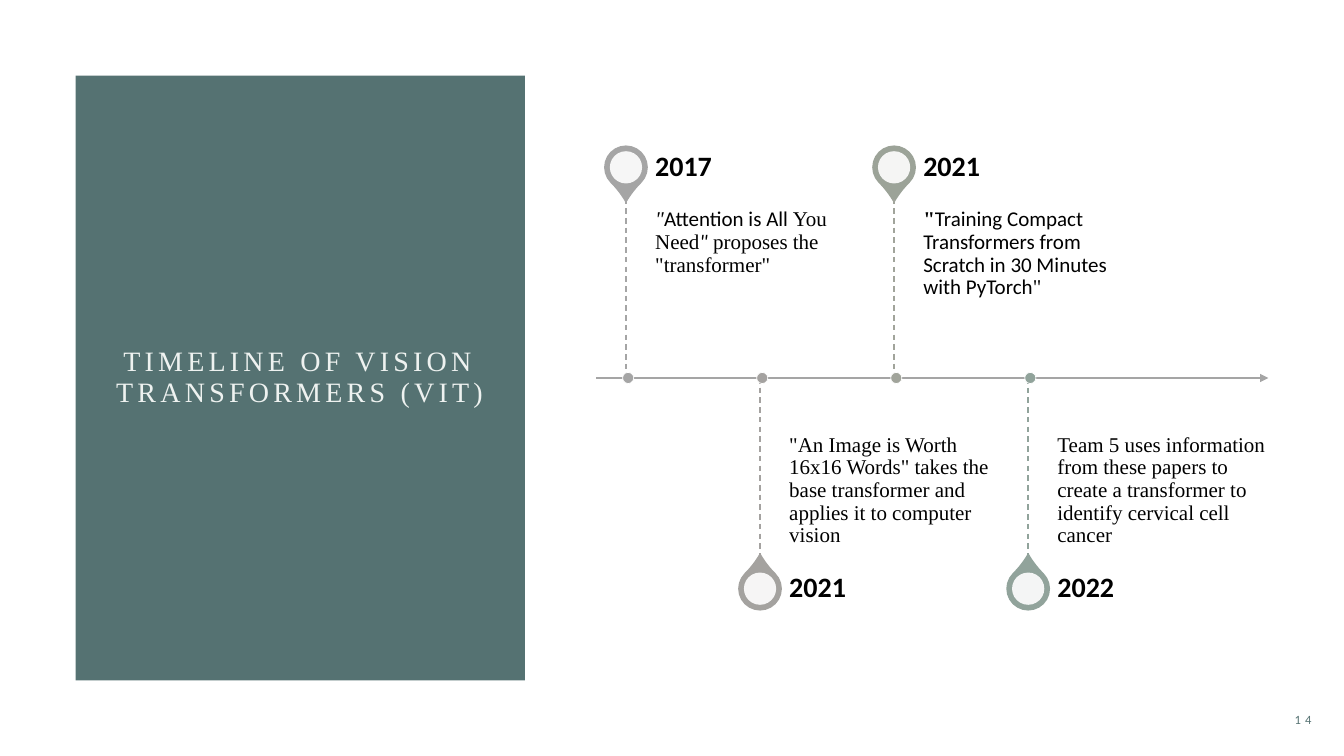
"""Build a slide with a timeline of vision transformer papers."""
from lxml.etree import SubElement
from pptx import Presentation
from pptx.dml.color import RGBColor
from pptx.enum.dml import MSO_LINE
from pptx.enum.shapes import MSO_CONNECTOR, MSO_SHAPE
from pptx.enum.text import MSO_ANCHOR, PP_ALIGN
from pptx.oxml.ns import qn
from pptx.util import Pt

SERIF, SANS = "Times New Roman", "Calibri"
TEAL, PALE, GREY, WHITE, BLACK = "557272", "EEF2F0", "A5A5A5", "FFFFFF", "000000"
AXIS_Y, FIRST_X, STEP = 270, 447.12, 95.76
PIN, HOLE, DOT = 30.24, 23.04, 8
TEXT_WIDTH, BODY_HEIGHT, YEAR_HEIGHT = 150.5, 128.2, 44.6

MILESTONES = [
    ("2017", "A5A5A5", "A5A5A5", [
        ('"', SERIF, "i"), ("Attention is All ", SANS, ""), ("You Need", SERIF, ""),
        ('"', SANS, "i"), (' proposes the "transformer"', SERIF, "")]),
    ("2021", "A4A29F", "A4A2A0", [
        ('"An Image is Worth 16x16 Words" takes the base transformer and '
         "applies it to computer vision", SERIF, "")]),
    ("2021", "9CA398", "A1A49B", [
        ('"', SERIF, "b"),
        ("Training Compact Transformers from Scratch in 30 Minutes with PyTorch", SANS, ""),
        ('"', SERIF, "")]),
    ("2022", "91A39B", "91A39B", [
        ("Team 5 uses information from these papers to create a transformer to "
         "identify cervical cell cancer", SERIF, "")]),
]


def color(value):
    return RGBColor.from_string(value)


class TimelineSlide:
    def __init__(self, page):
        self.page = page

    def shape(self, kind, left, top, width, height, fill, line=None, weight=1, alpha=None):
        item = self.page.shapes.add_shape(kind, Pt(left), Pt(top), Pt(width), Pt(height))
        item.shadow.inherit = False
        item.fill.solid()
        item.fill.fore_color.rgb = color(fill)
        if alpha:
            fill_color = item.fill._xPr.find(qn("a:solidFill"))[0]
            SubElement(fill_color, qn("a:alpha"), val=str(alpha * 1000))
        if line:
            item.line.color.rgb = color(line)
            item.line.width = Pt(weight)
        else:
            item.line.fill.background()
        return item

    def line(self, start, end, ink, weight, dash=None, arrow=False):
        item = self.page.shapes.add_connector(
            MSO_CONNECTOR.STRAIGHT, *(Pt(value) for value in (*start, *end)))
        item.line.color.rgb = color(ink)
        item.line.width = Pt(weight)
        if dash:
            item.line.dash_style = dash
        if arrow:
            SubElement(item.line._get_or_add_ln(), qn("a:tailEnd"), type="triangle")
        SubElement(item._element.spPr, qn("a:effectLst"))

    def text(self, left, top, width, height, spans, size, ink=BLACK, anchor=MSO_ANCHOR.MIDDLE,
             align=PP_ALIGN.LEFT, insets=(7.2, 3.6, 7.2, 3.6), tracking=0):
        box = self.page.shapes.add_textbox(Pt(left), Pt(top), Pt(width), Pt(height))
        frame = box.text_frame
        frame.word_wrap = True
        frame.vertical_anchor = anchor
        (frame.margin_left, frame.margin_top,
         frame.margin_right, frame.margin_bottom) = (Pt(inset) for inset in insets)
        para = frame.paragraphs[0]
        para.alignment = align
        para.line_spacing = 0.9
        for words, family, style in spans:
            span = para.add_run()
            span.text = words
            span.font.name = family
            span.font.size = Pt(size)
            span.font.color.rgb = color(ink)
            span.font.bold = "b" in style
            span.font.italic = "i" in style
            if tracking:
                span.font._element.set("spc", str(tracking * 100))

    def milestone(self, index, year, pin_color, dot_color, spans):
        above = index % 2 == 0
        center_x = FIRST_X + index * STEP
        center_y = 119.52 if above else 420.48
        stem_end = AXIS_Y - BODY_HEIGHT if above else AXIS_Y + BODY_HEIGHT
        text_left = center_x + 20.88

        pin = self.shape(MSO_SHAPE.TEAR, center_x - PIN / 2, center_y - PIN / 2,
                         PIN, PIN, pin_color, pin_color)
        pin.adjustments[0] = 1.15
        pin.rotation = 135 if above else 315
        self.shape(MSO_SHAPE.OVAL, center_x - HOLE / 2, center_y - HOLE / 2,
                   HOLE, HOLE, WHITE, alpha=90)
        self.text(text_left, min(stem_end, AXIS_Y), TEXT_WIDTH, BODY_HEIGHT, spans, 15,
                  anchor=MSO_ANCHOR.TOP if above else MSO_ANCHOR.BOTTOM,
                  insets=(0, 7.2, 7.2, 11.5) if above else (0, 11.5, 0, 7.2))
        self.text(text_left, stem_end - YEAR_HEIGHT if above else stem_end,
                  TEXT_WIDTH, YEAR_HEIGHT, [(year, SANS, "b")], 20, insets=(0, 0, 10, 0))
        self.line((center_x, min(stem_end, AXIS_Y)), (center_x, max(stem_end, AXIS_Y)),
                  dot_color, 1, dash=MSO_LINE.DASH)
        self.shape(MSO_SHAPE.OVAL, center_x - 2.4, AXIS_Y - DOT / 2, DOT, DOT,
                   dot_color, WHITE, 0.5)


def main():
    deck = Presentation()
    deck.slide_width, deck.slide_height = Pt(960), Pt(540)
    slide = TimelineSlide(deck.slides.add_slide(deck.slide_layouts[6]))
    slide.shape(MSO_SHAPE.RECTANGLE, 54, 54, 321, 432, TEAL)
    slide.text(69, 108, 290, 324, [("TIMELINE OF VISION TRANSFORMERS (VIT)", SERIF, "")],
               20, PALE, align=PP_ALIGN.CENTER, tracking=3)
    slide.line((426, AXIS_Y), (906, AXIS_Y), GREY, 1.5, arrow=True)
    for index, entry in enumerate(MILESTONES):
        slide.milestone(index, *entry)
    slide.text(875.5, 500.4, 68.4, 28.8, [("14", SANS, "")], 9, TEAL,
               align=PP_ALIGN.RIGHT, tracking=3)
    deck.save("out.pptx")


if __name__ == "__main__":
    main()
